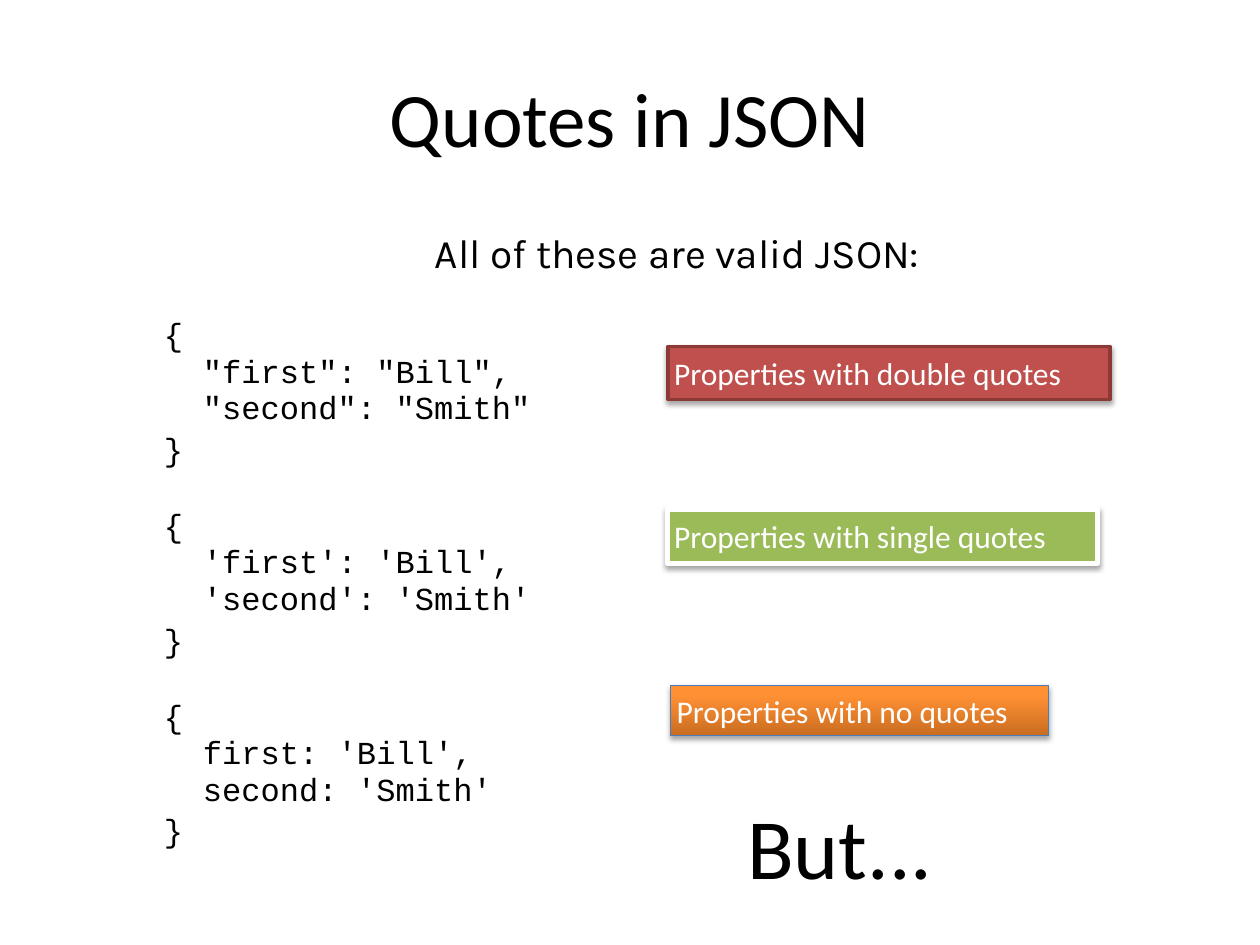
from lxml import etree
from pptx import Presentation
from pptx.dml.color import RGBColor
from pptx.enum.shapes import MSO_SHAPE
from pptx.enum.text import MSO_ANCHOR, PP_ALIGN
from pptx.oxml.ns import qn
from pptx.util import Emu, Pt

PX = 9144  # EMU per px, 100 px to the inch
RECTANGLE = MSO_SHAPE.RECTANGLE
TOP, MIDDLE = MSO_ANCHOR.TOP, MSO_ANCHOR.MIDDLE
LEFT, CENTER = PP_ALIGN.LEFT, PP_ALIGN.CENTER

BLACK = RGBColor(0x00, 0x00, 0x00)
WHITE = RGBColor(0xFF, 0xFF, 0xFF)
RED = RGBColor(0xC0, 0x50, 0x4D)
DARK_RED = RGBColor(0x8C, 0x3A, 0x38)
GREEN = RGBColor(0x9B, 0xBB, 0x59)
ORANGE = RGBColor(0xFF, 0x90, 0x34)
DARK_ORANGE = RGBColor(0xC9, 0x6D, 0x20)
BLUE = RGBColor(0x4A, 0x7E, 0xBB)

INSET = 5
HANGING = 31
LINE_SPACING = 0.95

PROPERTIES = [
    ('"first": "Bill"', '"second": "Smith"'),
    ("'first': 'Bill'", "'second': 'Smith'"),
    ("first: 'Bill'", "second: 'Smith'"),
]
# Box, text, fill colours (two make a gradient), line colour, line width
LABELS = [
    ((530, 275, 351, 42), "Properties with double quotes", (RED,), DARK_RED, 2),
    ((530, 404, 341, 43), "Properties with single quotes", (GREEN,), WHITE, 3),
    ((532, 544, 300, 40), "Properties with no quotes",
     (DARK_ORANGE, ORANGE), BLUE, 0.75),
]


def emu(box):
    return [Emu(length * PX) for length in box]


def set_frame(frame, anchor, top_inset=INSET):
    frame.word_wrap = True
    frame.vertical_anchor = anchor
    frame.margin_left = frame.margin_right = frame.margin_bottom = INSET * PX
    frame.margin_top = top_inset * PX


def set_para(para, text, size, font, color=BLACK, align=LEFT):
    para.text = text
    para.alignment = align
    for span in para.runs:
        span.font.size = Pt(size)
        span.font.name = font
        span.font.color.rgb = color


def add_shadow(shape):
    shape.shadow.inherit = False
    effects = shape._element.spPr.find(qn("a:effectLst"))
    shadow = etree.SubElement(
        effects, qn("a:outerShdw"), blurRad=str(Pt(3)), dist=str(Pt(1.8)),
        dir="5400000", rotWithShape="0")
    color = etree.SubElement(shadow, qn("a:srgbClr"), val="000000")
    etree.SubElement(color, qn("a:alpha"), val="35000")


def fill_shape(shape, colors):
    if len(colors) == 1:
        shape.fill.solid()
        shape.fill.fore_color.rgb = colors[0]
        return
    shape.fill.gradient()
    shape.fill.gradient_angle = 90
    for stop, color in zip(shape.fill.gradient_stops, colors):
        stop.color.rgb = color
    # The light colour is reached at 80 %
    shape._element.spPr.findall(".//" + qn("a:gs"))[-1].set("pos", "80000")


def place_title(page, box, text):
    title = page.shapes.title
    title.left, title.top, title.width, title.height = emu(box)
    set_frame(title.text_frame, MIDDLE)
    set_para(title.text_frame.paragraphs[0], text, 44, "Calibri", align=CENTER)


def add_code_para(frame, text, space_before):
    para = frame.add_paragraph()
    set_para(para, text, 18.3, "Courier New")
    para.line_spacing = LINE_SPACING
    para.space_before = Pt(space_before)
    settings = para._p.get_or_add_pPr()
    settings.set("marL", str(HANGING * PX))
    settings.set("indent", str(-HANGING * PX))


def add_examples(page, box):
    frame = page.shapes.add_textbox(*emu(box)).text_frame
    set_frame(frame, TOP, top_inset=34)
    heading = frame.paragraphs[0]
    set_para(heading, "All of these are valid JSON:", 23.2, "Karla", align=CENTER)
    heading.line_spacing = LINE_SPACING
    for first, second in PROPERTIES:
        add_code_para(frame, f"{{\v{first},\v{second}", 22.5)
        add_code_para(frame, "}", 3)


def add_label(page, box, text, colors, line_color, line_width):
    label = page.shapes.add_shape(RECTANGLE, *emu(box))
    fill_shape(label, colors)
    label.line.color.rgb = line_color
    label.line.width = Pt(line_width)
    add_shadow(label)
    set_frame(label.text_frame, MIDDLE)
    set_para(label.text_frame.paragraphs[0], text, 18, "Calibri", WHITE)


def add_closing(page, box, text):
    frame = page.shapes.add_textbox(*emu(box)).text_frame
    set_frame(frame, TOP)
    set_para(frame.paragraphs[0], text, 49, "Calibri")


def main():
    deck = Presentation()
    deck.slide_width, deck.slide_height = emu((1000, 750))
    page = deck.slides.add_slide(deck.slide_layouts.get_by_name("Title Only"))
    place_title(page, (50, 30, 900, 125), "Quotes in JSON")
    add_examples(page, (125, 150, 825, 550))
    for label in LABELS:
        add_label(page, *label)
    add_closing(page, (588, 625, 189, 89), "But...")
    deck.save("out.pptx")


if __name__ == "__main__":
    main()
